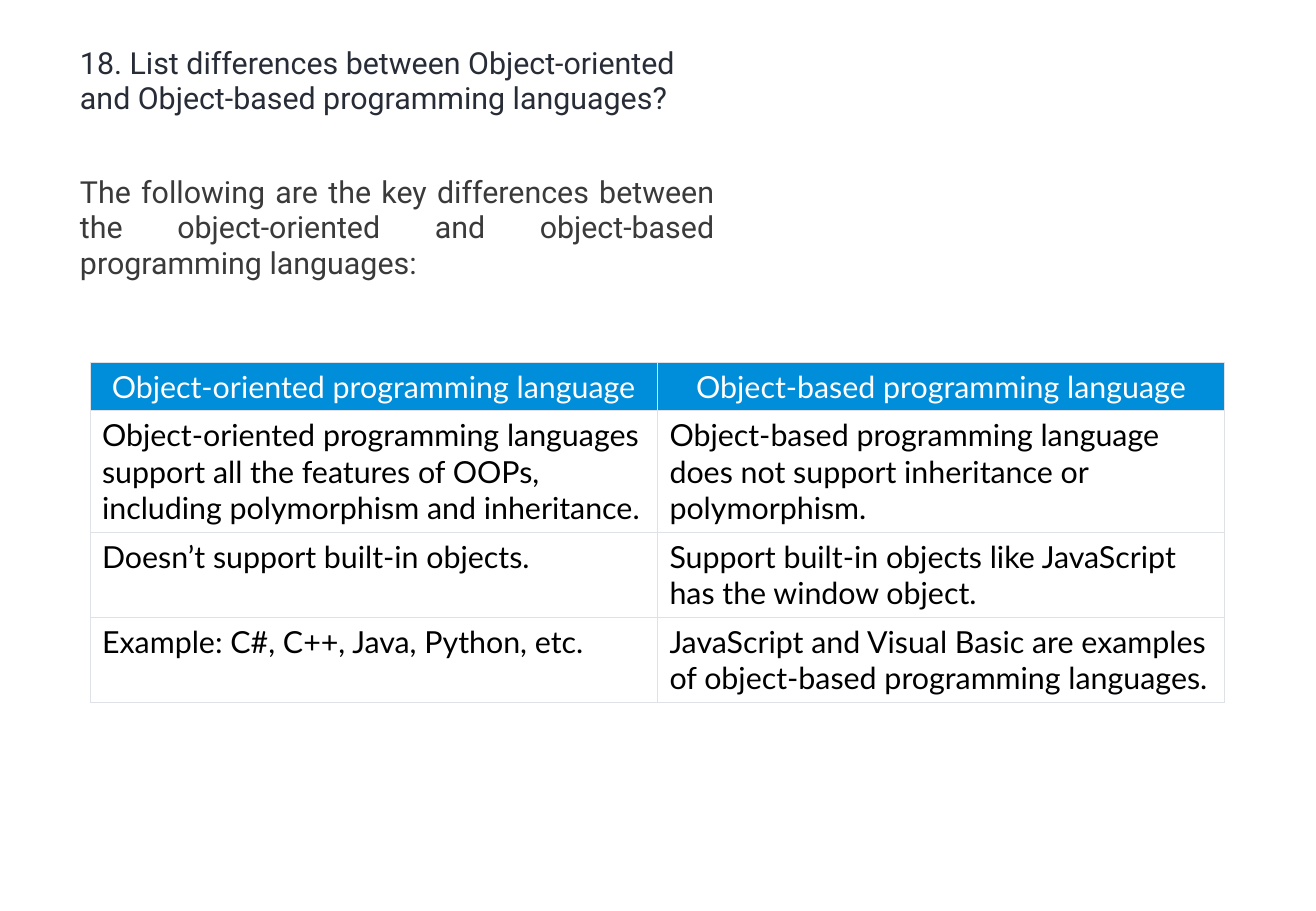
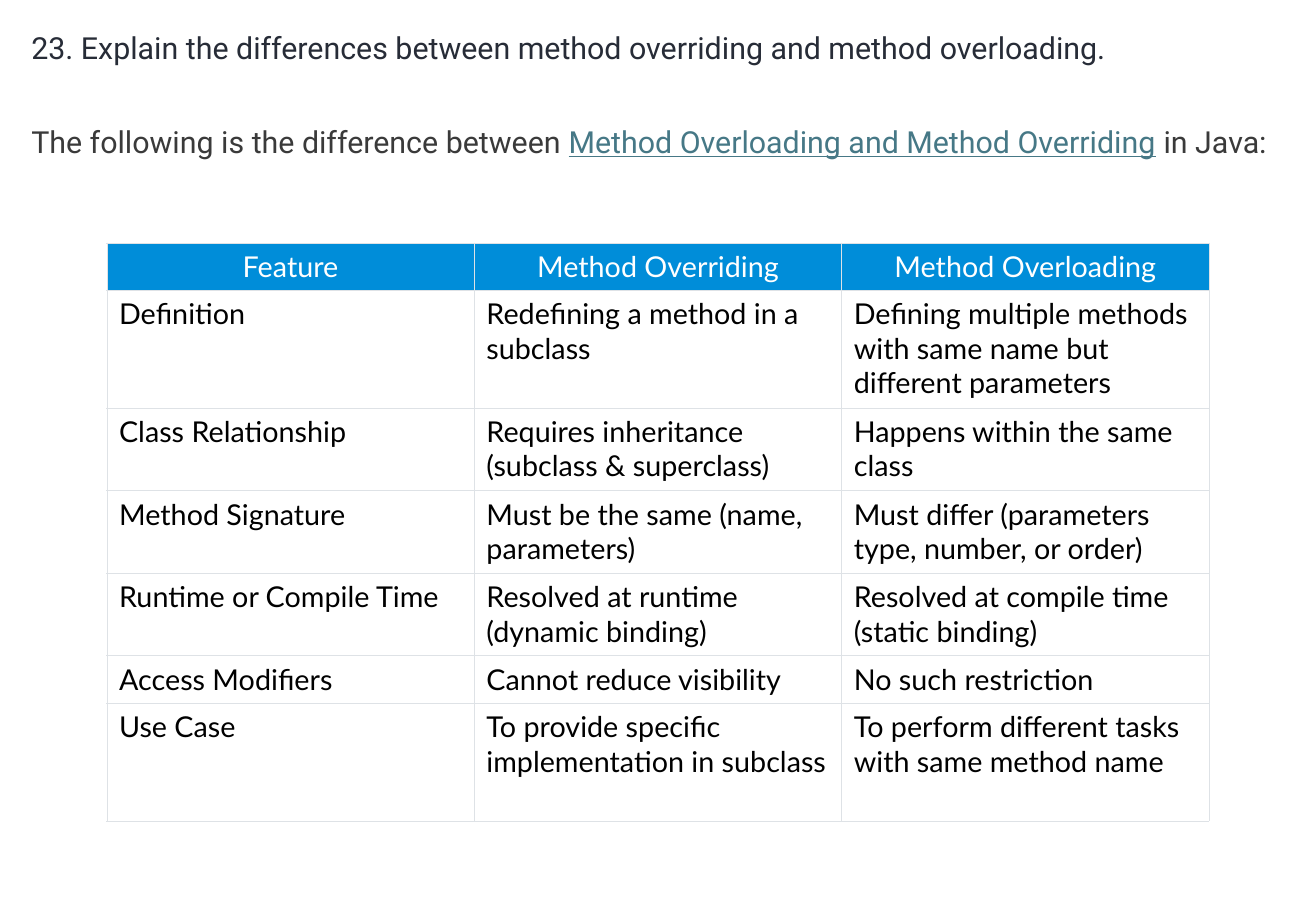
from dataclasses import dataclass

from lxml import etree
from pptx import Presentation
from pptx.dml.color import RGBColor
from pptx.enum.text import MSO_ANCHOR, PP_ALIGN
from pptx.oxml.ns import qn
from pptx.util import Emu, Pt

PX = 9144  # one px is a hundredth of an inch
SLIDE_W, SLIDE_H = 1083, 750
BLANK_LAYOUT = 6
CENTER, LEFT, JUSTIFY = PP_ALIGN.CENTER, PP_ALIGN.LEFT, PP_ALIGN.JUSTIFY
TOP = MSO_ANCHOR.TOP

COLORS = {
    "question": "272C37",
    "intro": "3A3A3A",
    "link": "467886",
    "header": "008DD9",
    "header_text": "FFFFFF",
    "body": "FFFFFF",
    "body_text": "000000",
    "border": "DEE2E6",
}
TEXT_FONT, TABLE_FONT = "Roboto", "Lato"
TEXT_SIZE = 18
LINE_SPACING = 21
BORDER_PT = 0.6


@dataclass(frozen=True)
class Box:
    left: int
    top: int
    width: int
    height: int

    def emu(self) -> list[Emu]:
        return [px(v) for v in (self.left, self.top, self.width, self.height)]


@dataclass(frozen=True)
class Comparison:
    """A question, its introduction as (text, colour) runs, and a table."""
    text_box: Box
    question: str
    intro: list[tuple[str, str]]
    table_box: Box
    table_size: int
    row_heights: list[int]
    rows: list[tuple[str, ...]]


COMPARISONS = [
    Comparison(
        Box(56, 32, 542, 206),
        "18. List differences between Object-oriented and Object-based programming languages?",
        [("The following are the key differences between the object-oriented "
          "and object-based programming languages:", "intro")],
        Box(74, 298, 934, 280), 18, [40, 100, 70, 70],
        [
            ("Object-oriented programming language", "Object-based programming language"),
            ("Object-oriented programming languages support all the features of OOPs, "
             "including polymorphism and inheritance.",
             "Object-based programming language does not support inheritance or polymorphism."),
            ("Doesn’t support built-in objects.",
             "Support built-in objects like JavaScript has the window object."),
            ("Example: C#, C++, Java, Python, etc.",
             "JavaScript and Visual Basic are examples of object-based programming languages."),
        ],
    ),
    Comparison(
        Box(16, 20, 1046, 118),
        "23. Explain the differences between method overriding and method overloading.",
        [("The following is the difference between ", "intro"),
         ("Method Overloading and Method Overriding", "link"),
         (" in Java:", "intro")],
        Box(88, 200, 907, 476), 17, [39, 97, 68, 68, 68, 39, 97],
        [
            ("Feature", "Method Overriding", "Method Overloading"),
            ("Definition", "Redefining a method in a subclass",
             "Defining multiple methods with same name but different parameters"),
            ("Class Relationship", "Requires inheritance (subclass & superclass)",
             "Happens within the same class"),
            ("Method Signature", "Must be the same (name, parameters)",
             "Must differ (parameters type, number, or order)"),
            ("Runtime or Compile Time", "Resolved at runtime (dynamic binding)",
             "Resolved at compile time (static binding)"),
            ("Access Modifiers", "Cannot reduce visibility", "No such restriction"),
            ("Use Case", "To provide specific implementation in subclass",
             "To perform different tasks with same method name"),
        ],
    ),
]


def px(value: int) -> Emu:
    return Emu(value * PX)


def rgb(name: str) -> RGBColor:
    return RGBColor.from_string(COLORS[name])


def style_run(r, font: str, size: int, color: str) -> None:
    r.font.name = font
    r.font.size = Pt(size)
    r.font.color.rgb = rgb(color)


def add_text(slide, item: Comparison) -> None:
    tf = slide.shapes.add_textbox(*item.text_box.emu()).text_frame
    tf.word_wrap = True
    question, intro = tf.paragraphs[0], tf.add_paragraph()
    question.space_before, question.space_after = Pt(24), Pt(18)
    intro.space_before = Pt(16.5)
    intro.alignment = JUSTIFY
    for p, runs in ((question, [(item.question, "question")]), (intro, item.intro)):
        p.line_spacing = Pt(LINE_SPACING)
        for text, color in runs:
            r = p.add_run()
            r.text = text
            style_run(r, TEXT_FONT, TEXT_SIZE, color)
            if color == "link":
                r.font.underline = True


def add_borders(cell) -> None:
    """Line all four sides; the lines must precede the fill in the XML."""
    props = cell._tc.get_or_add_tcPr()
    for i, side in enumerate(("a:lnL", "a:lnR", "a:lnT", "a:lnB")):
        line = etree.Element(qn(side), w=str(int(Pt(BORDER_PT))))
        fill = etree.SubElement(line, qn("a:solidFill"))
        etree.SubElement(fill, qn("a:srgbClr"), val=COLORS["border"])
        props.insert(i, line)


def fill_cell(cell, text: str, size: int, kind: str) -> None:
    cell.fill.solid()
    cell.fill.fore_color.rgb = rgb(kind)
    cell.vertical_anchor = TOP
    p = cell.text_frame.paragraphs[0]
    p.text = text
    p.alignment = CENTER if kind == "header" else LEFT
    style_run(p.runs[0], TABLE_FONT, size, f"{kind}_text")
    add_borders(cell)


def add_table(slide, item: Comparison) -> None:
    n_cols = len(item.rows[0])
    table = slide.shapes.add_table(len(item.rows), n_cols, *item.table_box.emu()).table
    table.first_row = table.horz_banding = False
    for col in table.columns:
        col.width = Emu(px(item.table_box.width) // n_cols)
    for i, (height, texts) in enumerate(zip(item.row_heights, item.rows)):
        table.rows[i].height = px(height)
        for j, text in enumerate(texts):
            fill_cell(table.cell(i, j), text, item.table_size, "body" if i else "header")


def main() -> None:
    prs = Presentation()
    prs.slide_width, prs.slide_height = px(SLIDE_W), px(SLIDE_H)
    for item in COMPARISONS:
        slide = prs.slides.add_slide(prs.slide_layouts[BLANK_LAYOUT])
        add_text(slide, item)
        add_table(slide, item)
    prs.save("out.pptx")


if __name__ == "__main__":
    main()
